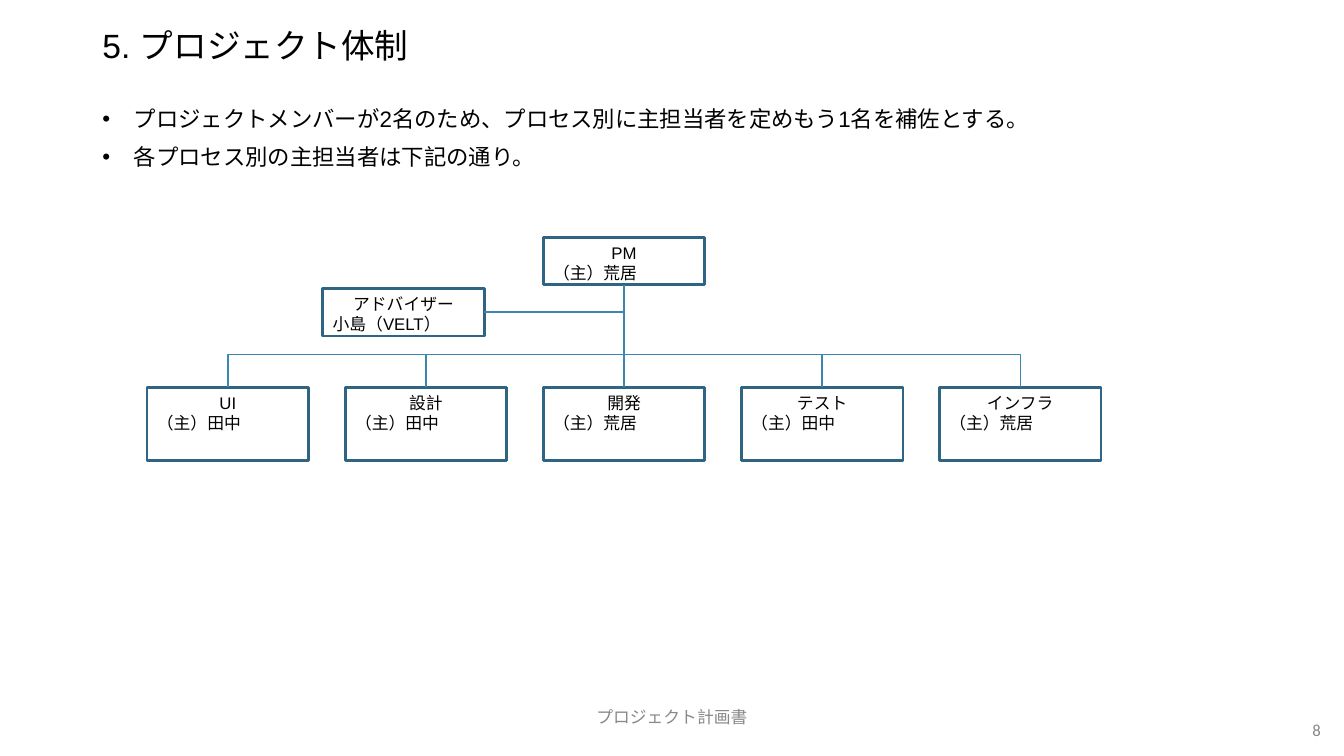
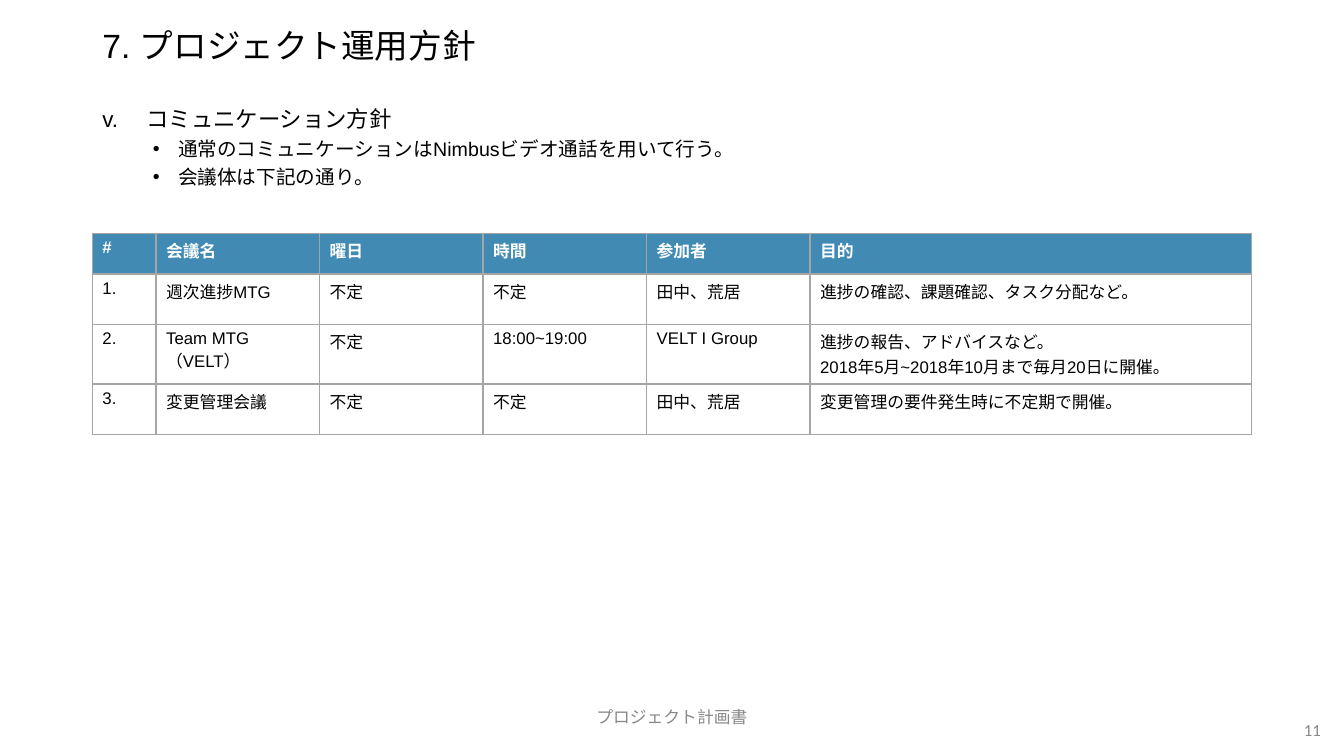
from lxml.etree import SubElement
from pptx import Presentation
from pptx.dml.color import RGBColor
from pptx.enum.shapes import MSO_CONNECTOR as Connector, MSO_SHAPE as Preset
from pptx.enum.text import MSO_ANCHOR as Anchor, MSO_AUTO_SIZE as AutoSize, PP_ALIGN as Align
from pptx.oxml.ns import qn
from pptx.util import Pt

BLACK, WHITE, GRAY = "000000", "FFFFFF", "888888"
BOX_LINE, LINK, HEADER, GRID = "2F6482", "3C86B0", "418AB3", "A5A5A5"
FONT, FOOTER_FONT = "Arial", "Calibri"
LEFT, WIDTH = 66, 828
BOX_WIDTH, BOX_PITCH, ROLE_LEFT, ROLE_TOP = 115.5, 141.5, 105, 276.75
BUS_SHARE = 0.68


def color(value):
    """Turn a hex string into a colour."""
    return RGBColor.from_string(value)


def place(shape, left, top, width, height):
    """Move and size a shape in points."""
    shape.left, shape.top = Pt(left), Pt(top)
    shape.width, shape.height = Pt(width), Pt(height)


def write(paragraph, text, size=12, font=FONT, fill=BLACK, bold=False,
          align=Align.LEFT, east_asian=FONT):
    """Write one formatted run into a paragraph."""
    paragraph.alignment = align
    run = paragraph.add_run()
    run.text = text
    run.font.size, run.font.name, run.font.bold = Pt(size), font, bold
    run.font.color.rgb = color(fill)
    if east_asian:
        run.font._element.get_or_add_latin().addnext(
            SubElement(run.font._element, qn("a:ea"), typeface=east_asian))


def paragraphs_for(frame, count):
    """Return the given number of paragraphs of an empty text frame."""
    return [frame.paragraphs[0]] + [frame.add_paragraph() for _ in range(count - 1)]


def set_bullet(paragraph, margin, hanging, start=None):
    """Give a paragraph a hanging dot or a lowercase roman number."""
    properties = paragraph._p.get_or_add_pPr()
    properties.set("marL", str(Pt(margin)))
    properties.set("indent", str(-Pt(hanging)))
    SubElement(SubElement(properties, qn("a:buClr")), qn("a:srgbClr"), val=BLACK)
    SubElement(properties, qn("a:buFont"), typeface=FONT)
    if start:
        SubElement(properties, qn("a:buAutoNum"), type="romanLcPeriod", startAt=str(start))
    else:
        SubElement(properties, qn("a:buChar"), char="•")


def add_label(slide, text, left, top, width, align):
    """Add a grey footer text."""
    label = slide.shapes.add_textbox(Pt(left), Pt(top), Pt(width), Pt(28.75))
    frame = label.text_frame
    frame.word_wrap = True
    frame.vertical_anchor = Anchor.MIDDLE
    write(frame.paragraphs[0], text, font=FOOTER_FONT, fill=GRAY, align=align,
          east_asian=FOOTER_FONT)


def add_page(presentation, title, number):
    """Add a slide with its title and footer."""
    slide = presentation.slides.add_slide(presentation.slide_layouts[1])
    heading = slide.shapes.title
    place(heading, LEFT, 10, WIDTH, 48)
    heading.text_frame.auto_size = AutoSize.NONE
    heading.text_frame.vertical_anchor = Anchor.MIDDLE
    write(heading.text_frame.paragraphs[0], title, size=24)
    heading.text_frame.paragraphs[0].line_spacing = 0.9
    add_label(slide, "プロジェクト計画書", 318, 497.5, 324, Align.CENTER)
    add_label(slide, number, 885.5, 507, 65, Align.RIGHT)
    return slide


def fill_body(slide, height, items):
    """Fill the body with (text, level, size, space before, margin, hanging, start)."""
    body = slide.placeholders[1]
    place(body, LEFT, 73.5, WIDTH, height)
    frame = body.text_frame
    frame.auto_size = AutoSize.NONE
    for paragraph, item in zip(paragraphs_for(frame, len(items)), items):
        text, level, size, before, margin, hanging, start = item
        paragraph.level = level
        write(paragraph, text, size=size)
        paragraph.line_spacing, paragraph.space_before = 0.9, Pt(before)
        set_bullet(paragraph, margin, hanging, start)


def add_box(slide, role, person, left, top, height):
    """Add a box with a centred role above a person."""
    box = slide.shapes.add_shape(Preset.RECTANGLE, Pt(left), Pt(top), Pt(BOX_WIDTH), Pt(height))
    box.shadow.inherit = False
    box.fill.solid()
    box.fill.fore_color.rgb = color(WHITE)
    box.line.color.rgb = color(BOX_LINE)
    box.line.width = Pt(2)
    box.text_frame.vertical_anchor = Anchor.TOP
    first, second = paragraphs_for(box.text_frame, 2)
    write(first, role, align=Align.CENTER)
    write(second, person)
    return box


def add_link(slide, start, end, kind=Connector.STRAIGHT):
    """Add a thin connector without a shadow."""
    link = slide.shapes.add_connector(kind, *start, *end)
    link.line.color.rgb = color(LINK)
    link.line.width = Pt(1)
    SubElement(link._element.spPr, qn("a:effectLst"))
    return link


def bottom_centre(box):
    """Return the middle of the lower edge."""
    return box.left + box.width // 2, box.top + box.height


def top_centre(box):
    """Return the middle of the upper edge."""
    return box.left + box.width // 2, box.top


def add_branch(slide, parent, child):
    """Link two boxes by an elbow that leaves the parent downwards."""
    (start_x, start_y), (end_x, end_y) = bottom_centre(parent), top_centre(child)
    centre_x, centre_y = (start_x + end_x) // 2, (start_y + end_y) // 2
    half_drop, half_span = (end_y - start_y) // 2, abs(end_x - start_x) // 2
    to_right = end_x > start_x
    side = half_drop if to_right else -half_drop
    link = add_link(slide, (centre_x + side, centre_y - half_span),
                    (centre_x - side, centre_y + half_span), Connector.ELBOW)
    properties = link._element.spPr
    properties.find(qn("a:xfrm")).set("rot", str((270 if to_right else 90) * 60000))
    adjustments = properties.find(qn("a:prstGeom")).find(qn("a:avLst"))
    SubElement(adjustments, qn("a:gd"), name="adj1", fmla=f"val {round(BUS_SHARE * 100000)}")


def add_organisation(slide):
    """Draw the manager, the adviser and the row of process owners."""
    manager = add_box(slide, "PM", "（主）荒居", ROLE_LEFT + 2 * BOX_PITCH, 169.5, 34)
    roles = [("UI", "田中"), ("設計", "田中"), ("開発", "荒居"),
             ("テスト", "田中"), ("インフラ", "荒居")]
    boxes = [add_box(slide, role, f"（主）{person}", ROLE_LEFT + index * BOX_PITCH, ROLE_TOP, 52)
             for index, (role, person) in enumerate(roles)]
    for box in boxes:
        if box.left == manager.left:
            trunk = add_link(slide, bottom_centre(manager), top_centre(box))
            trunk.begin_connect(manager, 2)
            trunk.end_connect(box, 0)
        else:
            add_branch(slide, manager, box)
    adviser = add_box(slide, "アドバイザー", "小島（VELT）", 230.5, 206, 34)
    middle = adviser.top + adviser.height // 2
    add_link(slide, (adviser.left + adviser.width, middle), (bottom_centre(manager)[0], middle))


def fill_cell(cell, text, is_header):
    """Write a cell and give it borders and a fill."""
    lines = text.split("\n")
    for paragraph, line in zip(paragraphs_for(cell.text_frame, len(lines)), lines):
        write(paragraph, line, fill=WHITE if is_header else BLACK, bold=is_header,
              east_asian=None)
    properties = cell._tc.get_or_add_tcPr()
    for edge in ("lnL", "lnR", "lnT", "lnB"):
        border = SubElement(properties, qn(f"a:{edge}"), w=str(Pt(1)))
        SubElement(SubElement(border, qn("a:solidFill")), qn("a:srgbClr"), val=GRID)
    cell.fill.solid()
    cell.fill.fore_color.rgb = color(HEADER if is_header else WHITE)


def add_grid(slide, top, widths, heights, rows):
    """Add a table with a coloured header row."""
    table = slide.shapes.add_table(len(rows), len(widths), Pt(LEFT), Pt(top),
                                   Pt(sum(widths)), Pt(sum(heights))).table
    for column, width in zip(table.columns, widths):
        column.width = Pt(width)
    for index, (row, height) in enumerate(zip(table.rows, heights)):
        row.height = Pt(height)
        for cell, text in zip(row.cells, rows[index]):
            fill_cell(cell, text, index == 0)


def main():
    """Build both slides and save them."""
    presentation = Presentation()
    presentation.slide_width, presentation.slide_height = Pt(960), Pt(540)

    team = add_page(presentation, "5. プロジェクト体制", "8")
    fill_body(team, 39, [
        ("プロジェクトメンバーが2名のため、プロセス別に主担当者を定めもう1名を補佐とする。",
         0, 16, 0, 22.5, 22.5, None),
        ("各プロセス別の主担当者は下記の通り。", 0, 16, 10, 22.5, 22.5, None),
    ])
    add_organisation(team)

    policy = add_page(presentation, "7. プロジェクト運用方針", "11")
    fill_body(policy, 412.5, [
        ("コミュニケーション方針", 0, 16, 0, 31.5, 31.5, 5),
        ("通常のコミュニケーションはNimbusビデオ通話を用いて行う。", 1, 14, 5, 54, 18, None),
        ("会議体は下記の通り。", 1, 14, 5, 54, 18, None),
    ])
    add_grid(policy, 166.5, [45.5] + [116.8] * 4 + [315.3], [29.25, 36, 42.5, 36], [
        ("#", "会議名", "曜日", "時間", "参加者", "目的"),
        ("1.", "週次進捗MTG", "不定", "不定", "田中、荒居", "進捗の確認、課題確認、タスク分配など。"),
        ("2.", "Team MTG（VELT）", "不定", "18:00~19:00", "VELT I Group",
         "進捗の報告、アドバイスなど。\n2018年5月~2018年10月まで毎月20日に開催。"),
        ("3.", "変更管理会議", "不定", "不定", "田中、荒居", "変更管理の要件発生時に不定期で開催。"),
    ])
    presentation.save("out.pptx")


main()
